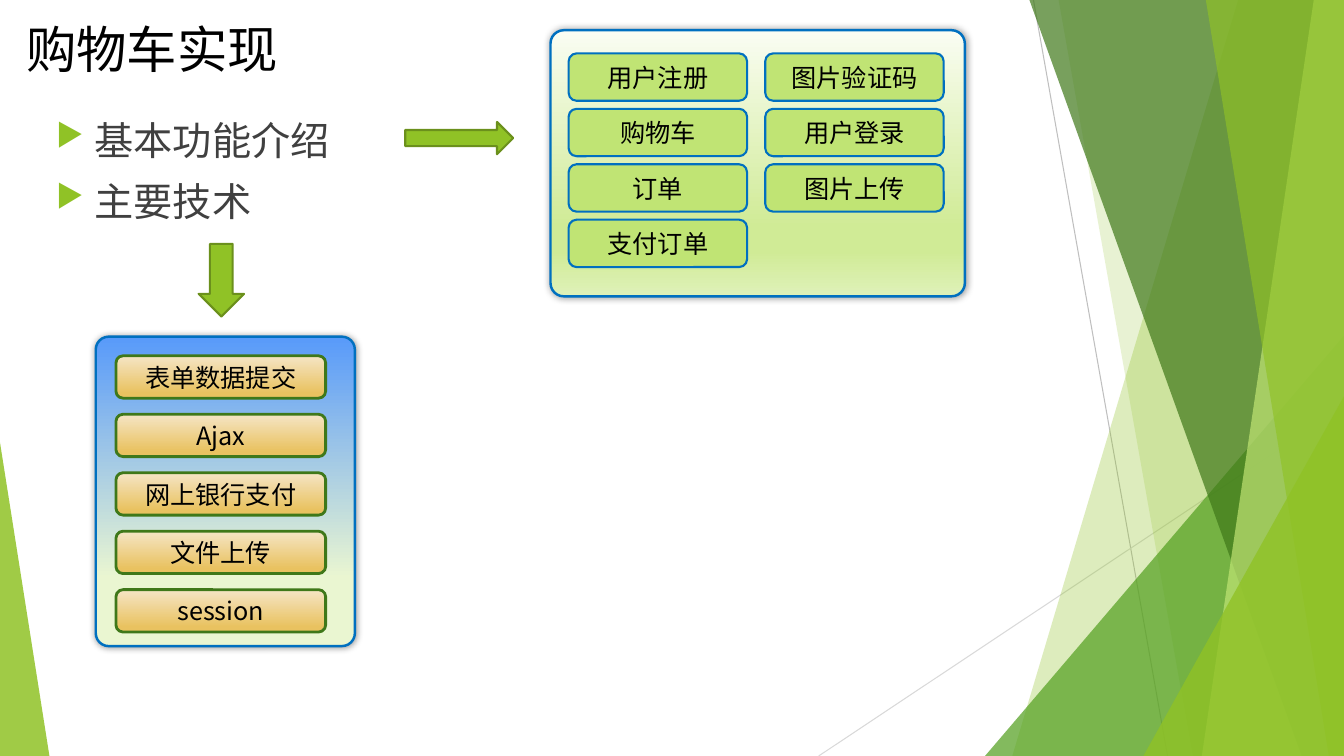
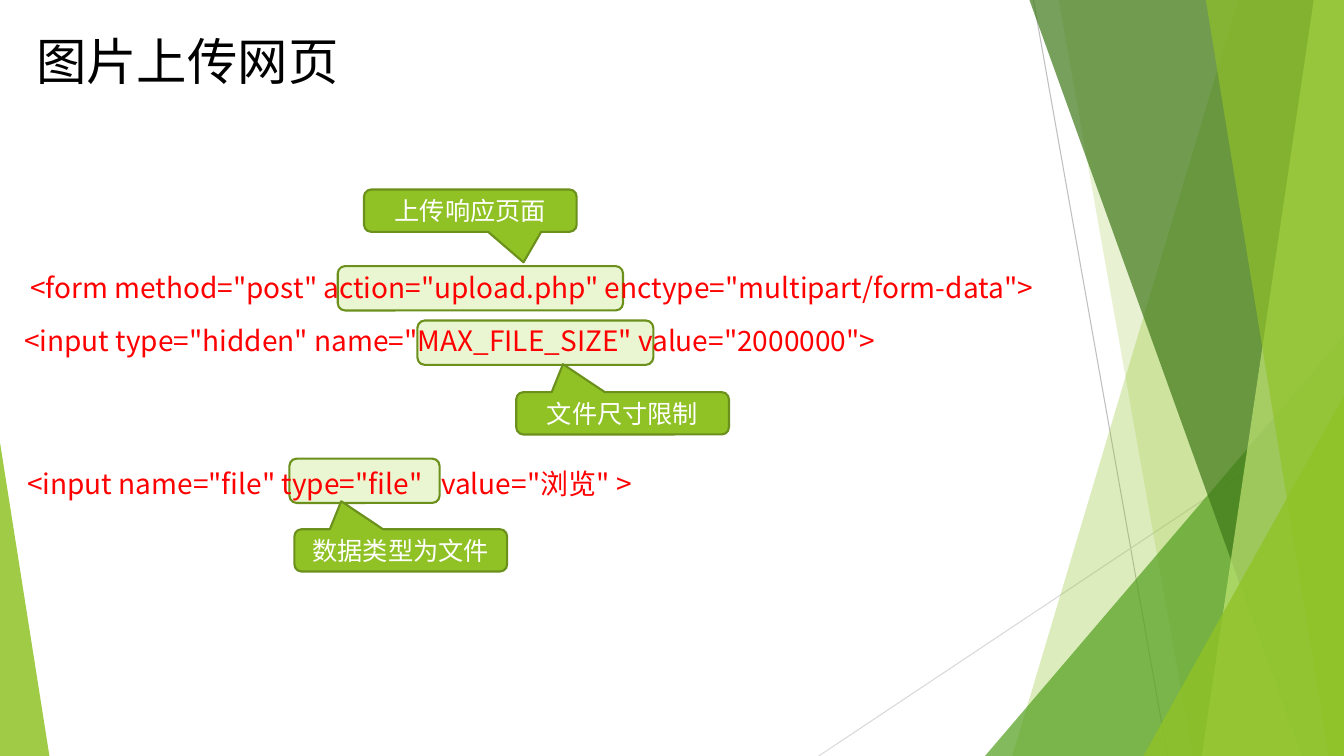
"""Build two slides on a shopping cart: its features and its upload form."""
from lxml.etree import SubElement
from pptx import Presentation
from pptx.dml.color import RGBColor
from pptx.enum.shapes import MSO_CONNECTOR, MSO_SHAPE
from pptx.enum.text import MSO_ANCHOR, PP_ALIGN
from pptx.oxml.ns import qn
from pptx.util import Inches, Pt

WIDE, HIGH = 13.33, 7.5
SANS, LATO = "Noto Sans CJK SC", "Lato"
HUES = {
    "leaf": "90C226", "lime": "C0E474", "grass": "54A021", "moss": "3F7819",
    "edge": "6B901C", "pale": "EAF6D1", "blue": "0070C0", "black": "000000",
    "body": "404040", "white": "FFFFFF", "red": "FF0000",
    "gray": "BFBFBF", "mist": "D9D9D9",
}

RULES = [((10.25, 0), (11.58, HIGH), "gray"), ((WIDE, 4.03), (8.12, HIGH), "mist")]
FACETS = [
    ("band", (12.28, 10.04), "leaf", 30),
    ("band", (10.5, 11.83), "leaf", 20),
    ("peak", (9.77, 3.33, 3.56, 4.17, 1), "grass", 72),
    ("band", (10.21, 12.91), "moss", 70),
    ("band", (13.03, 11.92), "lime", 70),
    ("band", (11.96, 13.18), "leaf", 65),
    ("peak", (11.34, 3.93, 1.99, 3.57, 1), "leaf", 80),
    ("peak", (0, 4.39, 0.49, 3.11, 0), "leaf", 85),
]

TOPICS = ["基本功能介绍", "主要技术"]
ARROWS = [
    (MSO_SHAPE.RIGHT_ARROW, (4.02, 1.21, 1.07, 0.32)),
    (MSO_SHAPE.DOWN_ARROW, (1.97, 2.42, 0.45, 0.72)),
]
PANELS = [
    {
        "box": (5.46, 0.3, 4.11, 2.64),
        "fill": [(0, "FAFDF3"), (74, "D0EB96"), (83, "D0EB96"), (100, "DFF1B9")],
        "cols": [["用户注册", "购物车", "订单", "支付订单"],
                 ["图片验证码", "用户登录", "图片上传"]],
        "cell": (5.64, 0.53, 1.77, 0.47), "step": (1.95, 0.55),
        "style": {"fill": "lime", "line": "blue", "width": 1.5},
    },
    {
        "box": (0.95, 3.34, 2.57, 3.07),
        "fill": [(0, "589AFA"), (78, "EAF6D1")],
        "cols": [["表单数据提交", "Ajax", "网上银行支付", "文件上传", "session"]],
        "cell": (1.15, 3.53, 2.08, 0.42), "step": (0, 0.58),
        "style": {"fill": [(0, "F5E5C5"), (88, "E9C260")], "line": "moss", "width": 2},
    },
]

MARKS = [(2.87, 4.55, 1.49), (4.14, 3.18, 2.34), (3.35, 2.64, 2.83)]
CODES = [
    ('<form method="post" action="upload.php" enctype="multipart/form-data">',
     (0.2, 2.63, 10.72, 0.44)),
    ('<input type="hidden" name="MAX_FILE_SIZE" value="2000000">',
     (0.14, 3.16, 9.78, 0.44)),
    ('<input name="file" type="file"   value="浏览" >', (0.17, 4.57, 6.69, 0.44)),
]
UP, DOWN = (-0.28, -1.16, 0.17), (0.25, 1.22, 0.17)
NOTES = [
    ("文件尺寸限制", (5.12, 3.89), UP),
    ("上传响应页面", (3.61, 1.88), DOWN),
    ("数据类型为文件", (2.92, 5.25), UP),
]


def tint(name):
    return RGBColor.from_string(HUES[name])


def style(par, size, hue, font):
    for run in par.runs:
        run.font.size = Pt(size)
        run.font.name = font
        run.font.color.rgb = tint(hue)
        if font == SANS:
            SubElement(run._r.rPr, qn("a:ea"), typeface=font)


def blend(shape, stops):
    shape.fill.gradient()
    shape.fill.gradient_angle = 270
    group = shape._element.spPr.find(qn("a:gradFill")).find(qn("a:gsLst"))
    for old in list(group):
        group.remove(old)
    for pos, code in stops:
        stop = SubElement(group, qn("a:gs"), pos=str(pos * 1000))
        SubElement(stop, qn("a:srgbClr"), val=code)


def paint(shape, fill, line=None, width=1.5, alpha=None):
    shape.shadow.inherit = False
    if isinstance(fill, list):
        blend(shape, fill)
    else:
        shape.fill.solid()
        shape.fill.fore_color.rgb = tint(fill)
    if alpha:
        color = shape._element.spPr.find(qn("a:solidFill"))[0]
        SubElement(color, qn("a:alpha"), val=str(alpha * 1000))
    if line:
        shape.line.color.rgb = tint(line)
        shape.line.width = Pt(width)
    else:
        shape.line.fill.background()


def block(slide, kind, box, adjs=(), **look):
    shape = slide.shapes.add_shape(kind, *map(Inches, box))
    for num, value in enumerate(adjs):
        shape.adjustments[num] = value
    paint(shape, **look)
    return shape


def label(shape, text, hue, font):
    frame = shape.text_frame
    frame.text = text
    frame.word_wrap = True
    frame.vertical_anchor = MSO_ANCHOR.MIDDLE
    frame.paragraphs[0].alignment = PP_ALIGN.CENTER
    style(frame.paragraphs[0], 18, hue, font)


def words(slide, text, box, size, hue, font=SANS):
    frame = slide.shapes.add_textbox(*map(Inches, box)).text_frame
    frame.text = text
    frame.word_wrap = True
    frame.vertical_anchor = MSO_ANCHOR.MIDDLE
    for par in frame.paragraphs:
        style(par, size, hue, font)
    return frame


def band(slide, top, foot):
    points = [(WIDE, 0), (WIDE, HIGH), (foot, HIGH)]
    pen = slide.shapes.build_freeform(Inches(top), 0)
    pen.add_line_segments([(Inches(x), Inches(y)) for x, y in points])
    return pen.convert_to_shape()


def start(deck, title, box):
    slide = deck.slides.add_slide(deck.slide_layouts[6])
    for head, tail, hue in RULES:
        rule = slide.shapes.add_connector(
            MSO_CONNECTOR.STRAIGHT, *map(Inches, head + tail))
        rule.line.color.rgb = tint(hue)
        rule.line.width = Pt(0.75)
        SubElement(rule._element.spPr, qn("a:effectLst"))
    for kind, place, hue, alpha in FACETS:
        if kind == "band":
            paint(band(slide, *place), hue, alpha=alpha)
        else:
            block(slide, MSO_SHAPE.ISOSCELES_TRIANGLE, place[:4], place[4:],
                  fill=hue, alpha=alpha)
    words(slide, title, box, 36, "black")
    return slide


def bullet(par):
    props = par._p.get_or_add_pPr()
    props.set("marL", str(Inches(0.38)))
    props.set("indent", str(-Inches(0.38)))
    color = SubElement(props, qn("a:buClr"))
    SubElement(color, qn("a:srgbClr"), val=HUES["leaf"])
    SubElement(props, qn("a:buSzPct"), val="80000")
    SubElement(props, qn("a:buChar"), char="▶")


def panel(slide, data):
    back = block(slide, MSO_SHAPE.ROUNDED_RECTANGLE, data["box"], (0.05,),
                 fill=data["fill"], line="blue", width=1.75)
    effect = back._element.spPr.find(qn("a:effectLst"))
    glow = SubElement(effect, qn("a:outerShdw"), blurRad=str(Pt(5)), dist="0",
                      dir="0", algn="ctr", rotWithShape="0")
    color = SubElement(glow, qn("a:srgbClr"), val=HUES["black"])
    SubElement(color, qn("a:alpha"), val="40000")
    left, top, wide, high = data["cell"]
    across, down = data["step"]
    for col, names in enumerate(data["cols"]):
        for row, name in enumerate(names):
            box = (left + col * across, top + row * down, wide, high)
            cell = block(slide, MSO_SHAPE.ROUNDED_RECTANGLE, box, **data["style"])
            label(cell, name, "black", SANS)


def cart(deck):
    slide = start(deck, "购物车实现", (0.16, 0.12, 2.81, 0.72))
    frame = words(slide, "\n".join(TOPICS), (0.46, 1.1, 3.06, 1.39), 28, "body", LATO)
    frame.vertical_anchor = MSO_ANCHOR.TOP
    for num, par in enumerate(frame.paragraphs):
        bullet(par)
        if num:
            par.space_before = Pt(10)
    for data in PANELS:
        panel(slide, data)
    for kind, box in ARROWS:
        block(slide, kind, box, fill="leaf", line="edge")


def upload(deck):
    slide = start(deck, "图片上传网页", (0.26, 0.24, 3.26, 0.72))
    for mark in MARKS:
        block(slide, MSO_SHAPE.ROUNDED_RECTANGLE, mark + (0.44,),
              fill="pale", line="edge")
    for code, box in CODES:
        words(slide, code, box, 20, "red")
    for text, spot, tip in NOTES:
        note = block(slide, MSO_SHAPE.ROUNDED_RECTANGULAR_CALLOUT,
                     spot + (2.11, 0.42), tip, fill="leaf", line="edge")
        label(note, text, "white", LATO)


def main():
    deck = Presentation()
    deck.slide_width, deck.slide_height = Inches(WIDE), Inches(HIGH)
    cart(deck)
    upload(deck)
    deck.save("out.pptx")


if __name__ == "__main__":
    main()
